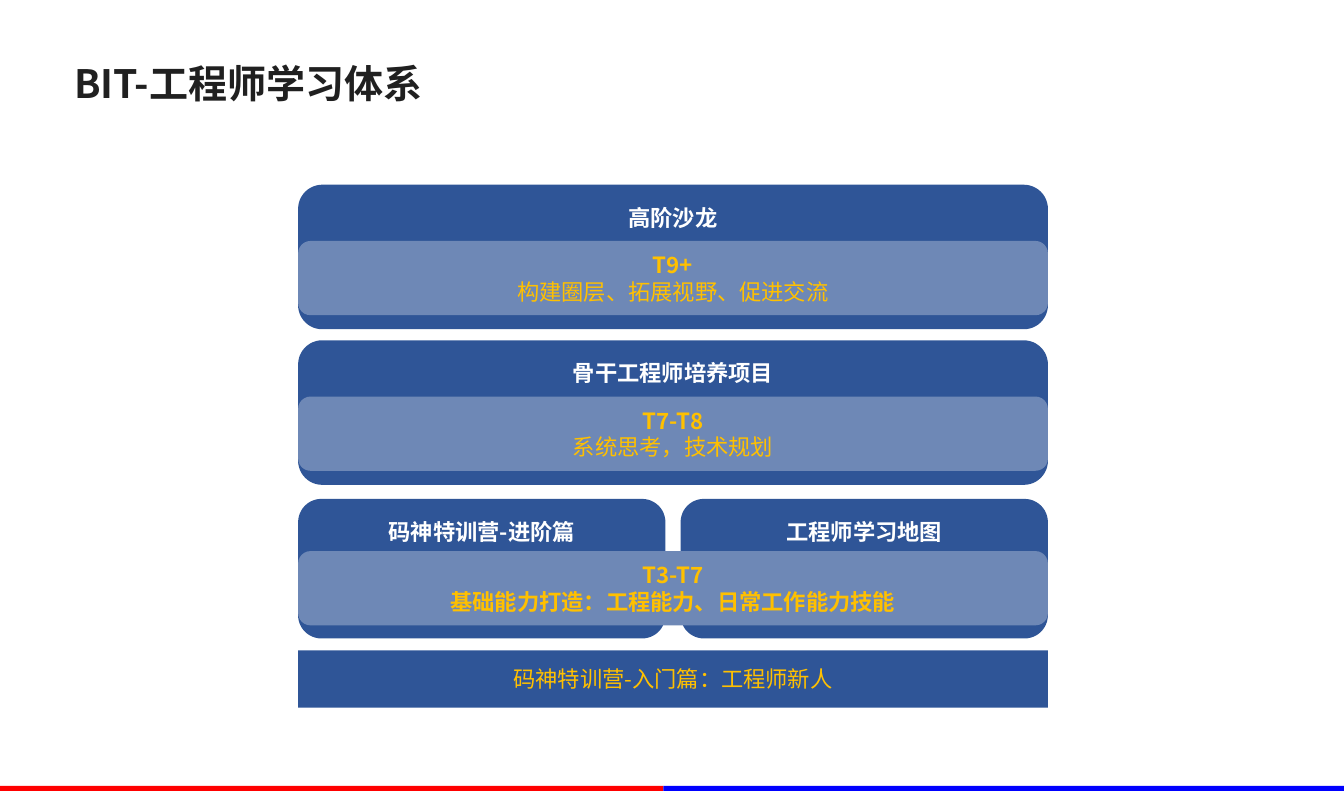
from dataclasses import dataclass

from lxml.etree import SubElement
from pptx import Presentation
from pptx.dml.color import RGBColor
from pptx.enum.shapes import MSO_SHAPE as Preset
from pptx.enum.text import MSO_ANCHOR as Anchor, PP_ALIGN as Align
from pptx.oxml.ns import qn
from pptx.util import Inches, Pt

WIDTH, HEIGHT = Inches(13.39), Inches(7.88)
FONT = "Noto Sans CJK SC"
COLORS = {
    "title": "202020",
    "card": "2F5597",
    "band": "6E88B6",
    "heading": "FFFFFF",
    "level": "FFC000",
    "stripe_left": "FF0000",
    "stripe_right": "0000FF",
}

# All lengths below are percentages of the slide's width or height.
STACK_LEFT, STACK_WIDTH = 22.18, 55.79
CARD_GAP = 1.13
BAND_HEIGHT = 9.39
STRIPE_TOP, STRIPE_SPLIT = 99.37, 49.37


@dataclass(frozen=True)
class Area:
    left: float
    top: float
    width: float
    height: float

    def place(self) -> tuple[int, int, int, int]:
        """Left, top, width and height in EMU."""
        return (int(WIDTH * self.left / 100), int(HEIGHT * self.top / 100),
                int(WIDTH * self.width / 100), int(HEIGHT * self.height / 100))


@dataclass(frozen=True)
class Line:
    text: str
    color: str
    bold: bool = True
    size: int = 16


@dataclass(frozen=True)
class Tier:
    headings: tuple[str, ...]
    level: str
    aim: str
    top: float
    height: float
    band_drop: float
    bold_aim: bool = False


TIERS = (
    Tier(("高阶沙龙",), "T9+", "构建圈层、拓展视野、促进交流", 23.35, 18.27, 7.11),
    Tier(("骨干工程师培养项目",), "T7-T8", "系统思考，技术规划", 43.02, 18.27, 7.11),
    Tier(("码神特训营-进阶篇", "工程师学习地图"), "T3-T7",
         "基础能力打造：工程能力、日常工作能力技能", 63.07, 17.64, 6.6, True),
)
ENTRY = Line("码神特训营-入门篇：工程师新人", "level", False)
ENTRY_AREA = Area(STACK_LEFT, 82.23, STACK_WIDTH, 7.23)


def rgb(name: str) -> RGBColor:
    return RGBColor.from_string(COLORS[name])


def write(frame, lines: tuple[Line, ...], align: Align = Align.CENTER) -> None:
    for number, line in enumerate(lines):
        paragraph = frame.add_paragraph() if number else frame.paragraphs[0]
        paragraph.alignment = align
        paragraph.line_spacing = Pt(line.size * 1.2)
        run = paragraph.add_run()
        run.text = line.text
        font_format = {"name": FONT, "size": Pt(line.size), "bold": line.bold}
        for attribute, value in font_format.items():
            setattr(run.font, attribute, value)
        run.font.color.rgb = rgb(line.color)
        SubElement(run.font._element, qn("a:ea"), typeface=FONT)


def add_block(slide, preset: Preset, area: Area, color: str,
              lines: tuple[Line, ...] = (), anchor: Anchor = Anchor.MIDDLE,
              top_inset: float = 0.05) -> None:
    block = slide.shapes.add_shape(preset, *area.place())
    block.shadow.inherit = False
    block.fill.solid()
    block.fill.fore_color.rgb = rgb(color)
    block.line.fill.background()
    frame_format = {"word_wrap": True, "vertical_anchor": anchor,
                    "margin_top": Inches(top_inset)}
    for attribute, value in frame_format.items():
        setattr(block.text_frame, attribute, value)
    write(block.text_frame, lines)


def add_tier(slide, tier: Tier) -> None:
    """Equal cards side by side, with one band across all of them."""
    count = len(tier.headings)
    card_width = (STACK_WIDTH - CARD_GAP * (count - 1)) / count
    for column, heading in enumerate(tier.headings):
        left = STACK_LEFT + column * (card_width + CARD_GAP)
        add_block(slide, Preset.ROUNDED_RECTANGLE,
                  Area(left, tier.top, card_width, tier.height), "card",
                  (Line(heading, "heading"),), Anchor.TOP, 0.12)
    add_block(slide, Preset.ROUNDED_RECTANGLE,
              Area(STACK_LEFT, tier.top + tier.band_drop, STACK_WIDTH, BAND_HEIGHT),
              "band", (Line(tier.level, "level"),
                       Line(tier.aim, "level", tier.bold_aim)))


def add_title(slide) -> None:
    title = slide.shapes.title
    title.left, title.top, title.width, title.height = Area(4.7, 4.95, 87.15, 11.17).place()
    title.text_frame.vertical_anchor = Anchor.MIDDLE
    title.text_frame.margin_left = Inches(0.11)
    write(title.text_frame, (Line("BIT-工程师学习体系", "title", size=28),), Align.LEFT)


def main() -> None:
    deck = Presentation()
    deck.slide_width, deck.slide_height = WIDTH, HEIGHT
    slide = deck.slides.add_slide(deck.slide_layouts[5])
    add_title(slide)
    stripe_height = 100 - STRIPE_TOP
    for color, left, width in (("stripe_left", 0, STRIPE_SPLIT),
                               ("stripe_right", STRIPE_SPLIT, 100 - STRIPE_SPLIT)):
        add_block(slide, Preset.RECTANGLE,
                  Area(left, STRIPE_TOP, width, stripe_height), color)
    for tier in TIERS:
        add_tier(slide, tier)
    add_block(slide, Preset.RECTANGLE, ENTRY_AREA, "card", (ENTRY,))
    deck.save("out.pptx")


if __name__ == "__main__":
    main()
